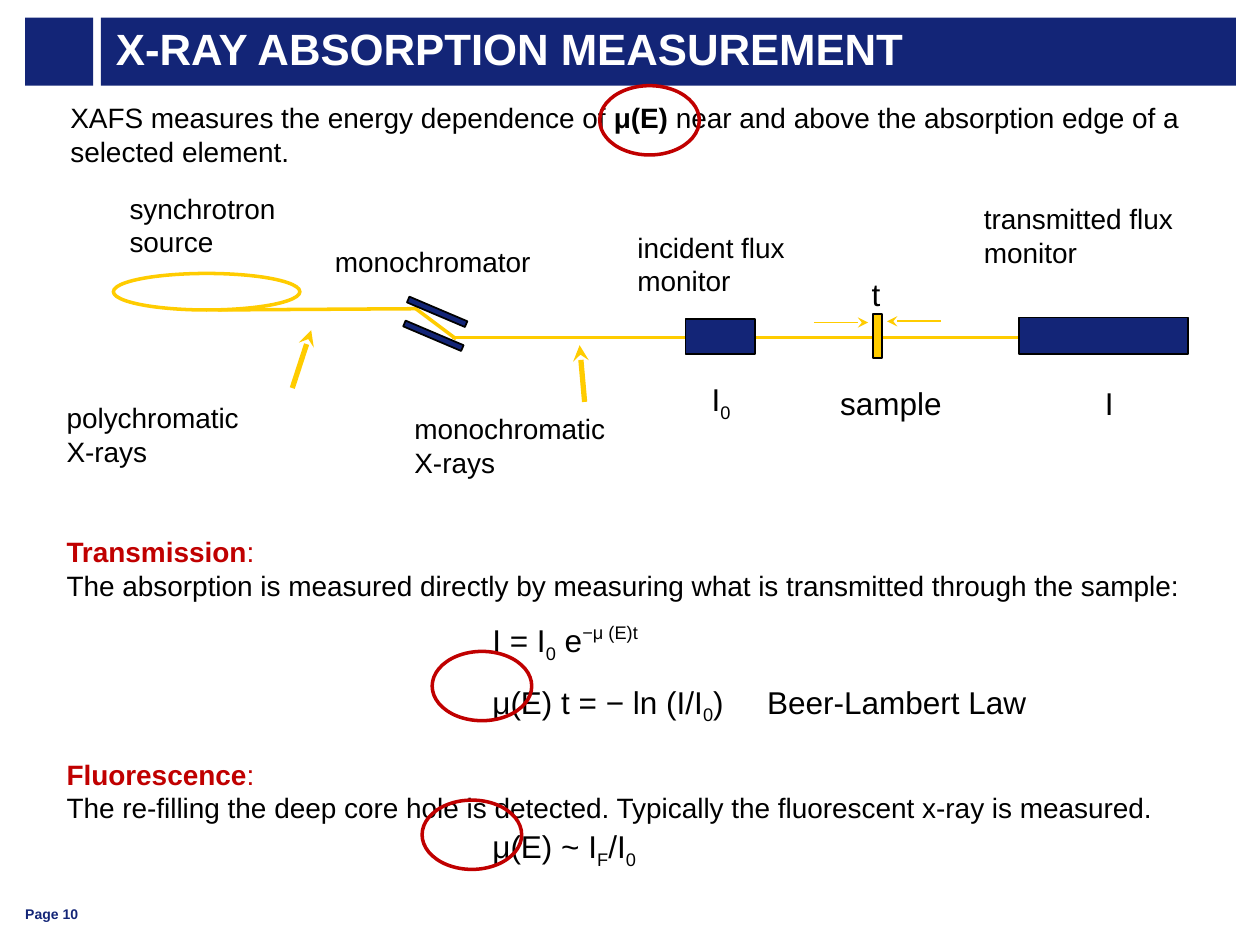
"""Build the X-ray absorption measurement slide."""
import pptx
import pptx.dml.color
import pptx.enum.shapes
import pptx.enum.text
import pptx.oxml.ns
import pptx.util
from lxml import etree

Inches, Pt = pptx.util.Inches, pptx.util.Pt
qn = pptx.oxml.ns.qn
SHAPE = pptx.enum.shapes.MSO_SHAPE
ANCHOR = pptx.enum.text.MSO_ANCHOR

COLORS = {"navy": "132577", "gold": "FFCC00", "red": "C00000", "black": "000000", "white": "FFFFFF"}
TITLE = "X-RAY ABSORPTION MEASUREMENT"
INTRO = [
    ("XAFS measures the energy dependence of ", {}),
    ("μ(E) ", {"bold": True}),
    ("near and above the absorption edge of a selected element.", {}),
]
LABELS = [
    (["polychromatic", "X-rays"], (0.43, 3.13, 3.56, 0.64), 16),
    (["monochromatic", "X-rays"], (3.19, 3.22, 3.08, 0.64), 16),
    (["synchrotron", "source"], (0.93, 1.47, 1.44, 0.64), 16),
    (["monochromator"], (2.56, 1.89, 1.78, 0.37), 16),
    (["incident flux", "monitor"], (4.96, 1.78, 1.39, 0.64), 16),
    (["transmitted flux", "monitor"], (7.71, 1.55, 1.73, 0.64), 16),
    (["sample"], (6.57, 3, 1.02, 0.4), 18),
    (["I"], (8.67, 3, 0.27, 0.4), 18),
    (["t"], (6.82, 2.13, 0.27, 0.4), 18),
]
SUBSCRIPT, SUPERSCRIPT = {"baseline": -25}, {"baseline": 40}
INCIDENT = [("I", {}), ("0", SUBSCRIPT)]
BEAMS = [
    ((1.73, 2.46), (3.31, 2.45)),
    ((3.59, 2.68), (8.37, 2.68)),
    ((3.3, 2.45), (3.62, 2.69)),
]
ARROWS = [
    ((2.32, 3.08), (2.47, 2.62), 3),
    ((4.64, 3.19), (4.6, 2.74), 3),
    ((6.46, 2.56), (6.89, 2.56), 1),
    ((7.47, 2.55), (7.04, 2.55), 1),
]
SOURCE_RING = (0.9, 2.17, 1.48, 0.29)
EQUIPMENT = [
    ((3.22, 2.45, 0.5, 0.05), 23, "navy"),
    ((3.19, 2.64, 0.5, 0.05), 23, "navy"),
    ((5.44, 2.53, 0.55, 0.28), 0, "navy"),
    ((8.09, 2.52, 1.34, 0.29), 0, "navy"),
    ((6.93, 2.49, 0.07, 0.35), 0, "gold"),
]
HIGHLIGHTS = [(4.76, 0.68), (3.43, 5.17), (3.35, 6.35)]
HEADING = {"bold": True, "color": "red"}
COLON = (":", {"color": "red"})
METHODS = [
    (0, 16, [("Transmission", HEADING), COLON]),
    (0, 16, [("The absorption is measured directly by measuring what is transmitted through the sample:", {})]),
    (16.3, 18, [("\tI = I", {}), ("0", SUBSCRIPT), (" e", {}), ("−μ (E)t", SUPERSCRIPT)]),
    (16.4, 18, [("\tμ(E) t = − ln (I/I", {}), ("0", SUBSCRIPT), (")\tBeer-Lambert Law", {})]),
    (18.3, 16, [("Fluorescence", HEADING), COLON]),
    (0, 16, [("The re-filling the deep core hole is detected. Typically the fluorescent x-ray is measured.", {})]),
    (7.2, 18, [("\tμ(E) ~ I", {}), ("F", SUBSCRIPT), ("/I", {}), ("0", SUBSCRIPT)]),
]
FORMULA_TABS = [3.38, 5.56]


def rgb(name):
    return pptx.dml.color.RGBColor.from_string(COLORS[name])


def set_font(paragraph, size, color="black", bold=False):
    font = paragraph.font
    font.name, font.size, font.bold = "Arial", Pt(size), bold
    font.color.rgb = rgb(color)


def add_runs(paragraph, runs):
    for text, style in runs:
        run = paragraph.add_run()
        run.text = text
        if "bold" in style:
            run.font.bold = style["bold"]
        if "color" in style:
            run.font.color.rgb = rgb(style["color"])
        if "baseline" in style:
            run.font._element.set("baseline", str(style["baseline"] * 1000))


def add_text(slide, box, wrap=True):
    frame = slide.shapes.add_textbox(*map(Inches, box)).text_frame
    frame.word_wrap = wrap
    return frame


def add_label(slide, lines, box, size):
    frame = add_text(slide, box, wrap=box[2] > 3)
    frame.text = "\n".join(lines)
    for paragraph in frame.paragraphs:
        set_font(paragraph, size)


def add_shape(slide, kind, box, fill=None, line=None, width=1):
    shape = slide.shapes.add_shape(kind, *map(Inches, box))
    shape.shadow.inherit = False
    if fill:
        shape.fill.solid()
        shape.fill.fore_color.rgb = rgb(fill)
    else:
        shape.fill.background()
    if line:
        shape.line.color.rgb = rgb(line)
        shape.line.width = Pt(width)
    else:
        shape.line.fill.background()
    return shape


def add_line(slide, start, end, width=2, arrow=False):
    connector = slide.shapes.add_connector(
        pptx.enum.shapes.MSO_CONNECTOR.STRAIGHT, *map(Inches, start + end))
    connector.line.color.rgb = rgb("gold")
    connector.line.width = Pt(width)
    if arrow:
        etree.SubElement(connector.line._get_or_add_ln(), qn("a:tailEnd"), type="stealth")
    etree.SubElement(connector._element.spPr, qn("a:effectLst"))


def add_title(slide):
    title = slide.shapes.title
    title.left, title.top, title.width, title.height = map(Inches, (0.8, 0.14, 9.01, 0.54))
    title.fill.solid()
    title.fill.fore_color.rgb = rgb("navy")
    frame = title.text_frame
    frame.text = TITLE
    frame.auto_size = pptx.enum.text.MSO_AUTO_SIZE.NONE
    frame.vertical_anchor = ANCHOR.MIDDLE
    frame.margin_left = frame.margin_right = Inches(0.12)
    frame.margin_top = frame.margin_bottom = 0
    paragraph = frame.paragraphs[0]
    paragraph.alignment = pptx.enum.text.PP_ALIGN.LEFT
    paragraph.line_spacing = 0.85
    set_font(paragraph, 25, "white", True)


def add_page_number(slide):
    frame = add_text(slide, (0.2, 7.09, 0.45, 0.23), wrap=False)
    frame.text = "Page 10"
    frame.vertical_anchor = ANCHOR.BOTTOM
    frame.margin_left = frame.margin_right = frame.margin_top = frame.margin_bottom = 0
    set_font(frame.paragraphs[0], 8, "navy", True)


def add_methods(slide):
    frame = add_text(slide, (0.43, 4.2, 9.4, 2.7))
    for index, (space, size, runs) in enumerate(METHODS):
        paragraph = frame.add_paragraph() if index else frame.paragraphs[0]
        paragraph.line_spacing = Pt(19)
        if space:
            paragraph.space_before = Pt(space)
        if size == 18:
            tabs = etree.SubElement(paragraph._p.get_or_add_pPr(), qn("a:tabLst"))
            for position in FORMULA_TABS:
                etree.SubElement(tabs, qn("a:tab"), pos=str(Inches(position)), algn="l")
        set_font(paragraph, size)
        add_runs(paragraph, runs)


def main():
    presentation = pptx.Presentation()
    presentation.slide_width, presentation.slide_height = Inches(10), Inches(7.5)
    slide = presentation.slides.add_slide(presentation.slide_layouts[5])
    add_title(slide)
    add_shape(slide, SHAPE.RECTANGLE, (0.2, 0.14, 0.54, 0.54), "navy")
    add_page_number(slide)
    intro = add_text(slide, (0.46, 0.75, 9.18, 0.64)).paragraphs[0]
    set_font(intro, 16)
    add_runs(intro, INTRO)
    for start, end in BEAMS:
        add_line(slide, start, end)
    for start, end, width in ARROWS:
        add_line(slide, start, end, width, arrow=True)
    add_shape(slide, SHAPE.OVAL, SOURCE_RING, line="gold", width=2)
    for box, rotation, fill in EQUIPMENT:
        add_shape(slide, SHAPE.RECTANGLE, box, fill, "black").rotation = rotation
    for label in LABELS:
        add_label(slide, *label)
    incident = add_text(slide, (5.55, 2.97, 0.37, 0.4), wrap=False).paragraphs[0]
    set_font(incident, 18)
    add_runs(incident, INCIDENT)
    add_methods(slide)
    for corner in HIGHLIGHTS:
        add_shape(slide, SHAPE.OVAL, corner + (0.79, 0.55), line="red", width=2)
    presentation.save("out.pptx")


if __name__ == "__main__":
    main()
